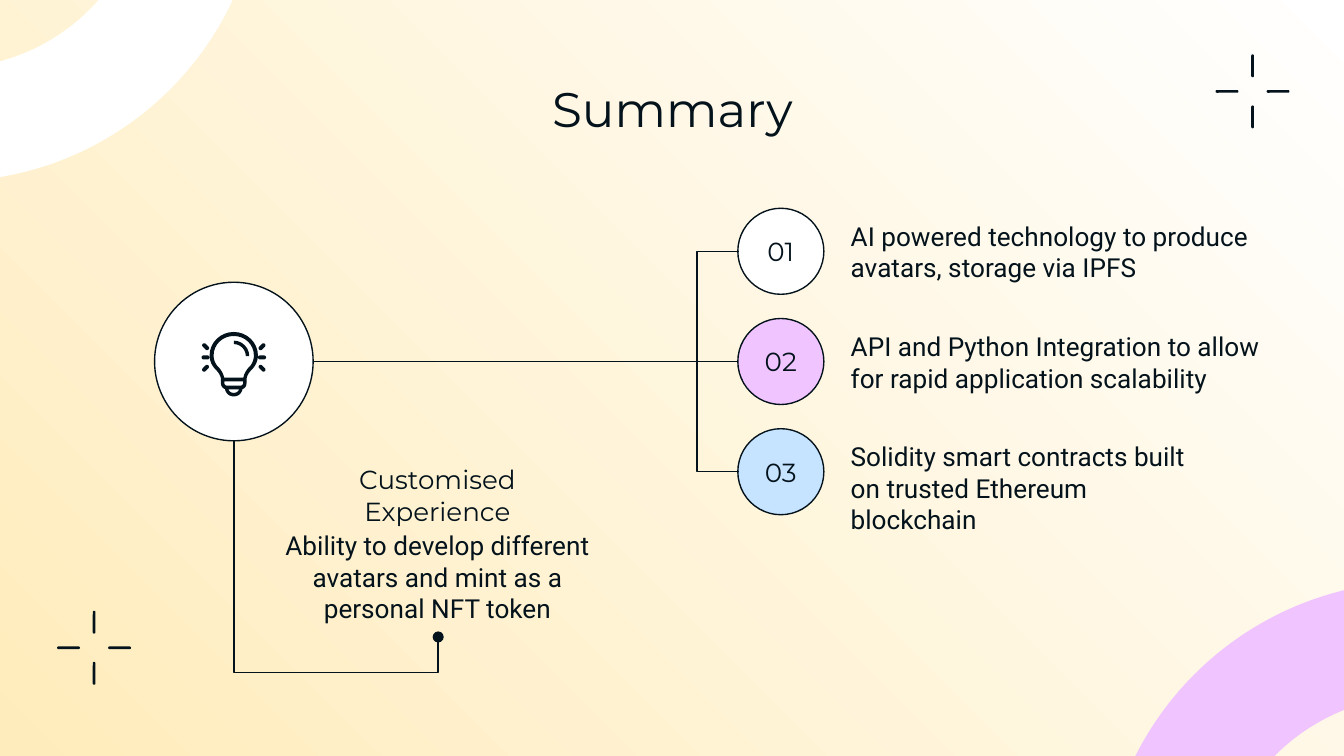
import lxml.etree
import pptx
import pptx.dml.color
import pptx.enum.shapes
import pptx.enum.text
import pptx.oxml.ns
import pptx.util

COLORS = {"ink": "03121B", "white": "FFFFFF", "cream": "FFECBC",
          "pink": "F0C4FF", "blue": "C6E3FF"}
HEAD, BODY = "Montserrat", "Roboto"
MSO = pptx.enum.shapes.MSO_SHAPE
ALIGN = pptx.enum.text.PP_ALIGN
ANCHOR = pptx.enum.text.MSO_ANCHOR
inch = pptx.util.Inches
qn = pptx.oxml.ns.qn

HUB_X, MID_Y, HUB_SIZE = 1.74, 2.69, 1.18
ROW_PITCH, NODE_LEFT, NODE_SIZE = 0.82, 5.49, 0.64
TEXT_LEFT, TEXT_TOP = 6.33, 1.59
NOTE_X = 3.26
ITEMS = [
    ("01", "white", 2.97, "AI powered technology to produce avatars, storage via IPFS"),
    ("02", "pink", 3.17, "API and Python Integration to allow for rapid application scalability"),
    ("03", "blue", 2.56, "Solidity smart contracts built on trusted Ethereum blockchain"),
]

# Right halves of the bulb's contours, in hundredths of an inch from its centre.
# A segment of two numbers is a line, one of six is a Bézier curve.
BULB = [
    [(0, -24), (10, -24, 18, -16, 18, -6.5), (18, -2, 16, 1.5, 13, 4.5),
     (11, 6.5, 9.5, 9, 9.5, 12), (9.5, 14), (9.5, 16, 8.5, 18, 6.5, 18.5),
     (6, 22, 3, 24, 0, 24)],
    [(0, -21), (8.5, -21, 15, -14.5, 15, -6.5), (15, -3, 13.5, 0.5, 11, 2.5),
     (9, 5, 7.5, 7.5, 7.2, 10), (0, 10)],
    [(0, 12.7), (7, 12.7), (7, 14), (7, 15, 6, 16, 5, 16), (0, 16)],
    [(0, 18.7), (4, 18.7), (3.5, 20.3, 2, 21.3, 0, 21.3)],
]


def rgb(name):
    return pptx.dml.color.RGBColor.from_string(COLORS[name])


def paint(s, fill, outline=False):
    s.shadow.inherit = False
    s.fill.solid()
    s.fill.fore_color.rgb = rgb(fill)
    if outline:
        s.line.color.rgb = rgb("ink")
        s.line.width = pptx.util.Pt(0.75)
    else:
        s.line.fill.background()


def add_centred(shapes, kind, x, y, w, h, fill, outline=False):
    """Add a preset shape by its centre point."""
    s = shapes.add_shape(kind, inch(x - w / 2), inch(y - h / 2), inch(w), inch(h))
    paint(s, fill, outline)
    return s


def add_arc(shapes, x, y, size, start, end, thickness, fill):
    """Add a ring segment that runs clockwise between two angles in degrees."""
    s = add_centred(shapes, MSO.BLOCK_ARC, x, y, size, size, fill)
    s.adjustments[0] = start * 0.6
    s.adjustments[1] = end * 0.6
    s.adjustments[2] = thickness
    return s


def add_bar(shapes, x, y, w, h, rotation=0):
    s = add_centred(shapes, MSO.ROUNDED_RECTANGLE, x, y, w, h, "ink")
    s.adjustments[0] = 0.5
    s.rotation = rotation


def add_sparkle(slide, x, y, reach=0.19, length=0.17, width=0.02):
    group = slide.shapes.add_group_shape()
    for side in (-1, 1):
        add_bar(group.shapes, x + side * reach, y, length, width)
        add_bar(group.shapes, x, y + side * reach, width, length)


def symmetric_contour(half, x, y, steps=8):
    """Sample the curves and mirror them to close the contour."""
    points = [half[0]]
    for segment in half[1:]:
        if len(segment) == 2:
            points.append(segment)
            continue
        start = points[-1]
        for i in range(1, steps + 1):
            t = i / steps
            u = 1 - t
            points.append(tuple(
                u ** 3 * start[k] + 3 * u * u * t * segment[k]
                + 3 * u * t * t * segment[k + 2] + t ** 3 * segment[k + 4]
                for k in (0, 1)))
    points += [(-px, py) for px, py in reversed(points[1:-1])]
    return [(inch(x + px / 100), inch(y + py / 100)) for px, py in points]


def add_bulb(slide, x, y):
    shapes = slide.shapes.add_group_shape().shapes
    contours = [symmetric_contour(half, x, y) for half in BULB]
    builder = shapes.build_freeform(*contours[0][0])
    for i, points in enumerate(contours):
        if i:
            builder.move_to(*points[0])
        builder.add_line_segments(points[1:], close=True)
    paint(builder.convert_to_shape(), "ink")
    add_arc(shapes, x, y - 0.06, 0.23, 270, 0, 0.11, "ink")
    for side in (-1, 1):
        for row in (-1, 0, 1):
            add_bar(shapes, x + side * 0.21, y - 0.05 + row * 0.08, 0.06, 0.03,
                    side * row * 45)


def write(tf, text, font, size=14, align=ALIGN.LEFT, insets=(0, 0, 0, 0)):
    tf.word_wrap = True
    tf.auto_size = pptx.enum.text.MSO_AUTO_SIZE.NONE
    tf.margin_left, tf.margin_top, tf.margin_right, tf.margin_bottom = map(inch, insets)
    p = tf.paragraphs[0]
    p.alignment = align
    r = p.add_run()
    r.text = text
    r.font.name = font
    r.font.size = pptx.util.Pt(size)
    r.font.color.rgb = rgb("ink")


def add_text(slide, x, y, w, h, text, font, **kwargs):
    s = slide.shapes.add_textbox(inch(x), inch(y), inch(w), inch(h))
    write(s.text_frame, text, font, **kwargs)


def add_elbow(slide, x1, y1, x2, y2, bend, vertical=False, dot=False):
    """Add an elbow whose bend is a share of its run; vertical ones leave downwards."""
    if vertical:
        cx, cy, run, rise = (x1 + x2) / 2, (y1 + y2) / 2, y2 - y1, x2 - x1
        x1, x2, y1, y2 = cx + run / 2, cx - run / 2, cy - rise / 2, cy + rise / 2
    c = slide.shapes.add_connector(pptx.enum.shapes.MSO_CONNECTOR.ELBOW,
                                   inch(x1), inch(y1), inch(x2), inch(y2))
    c.line.color.rgb = rgb("ink")
    c.line.width = pptx.util.Pt(0.75)
    sp_pr = c._element.spPr
    if vertical:
        sp_pr.find(qn("a:xfrm")).set("rot", str(270 * 60000))
    guides = sp_pr.find(qn("a:prstGeom")).find(qn("a:avLst"))
    lxml.etree.SubElement(guides, qn("a:gd"), name="adj1",
                          fmla=f"val {round(bend * 100000)}")
    if dot:
        lxml.etree.SubElement(c.line._get_or_add_ln(), qn("a:tailEnd"), type="oval")
    lxml.etree.SubElement(sp_pr, qn("a:effectLst"))


def add_backdrop(slide):
    fill = slide.background.fill
    fill.gradient()
    fill.gradient_angle = 45
    for stop, name, position in zip(fill.gradient_stops, ("cream", "white"), (0, 1)):
        stop.color.rgb = rgb(name)
        stop.position = position
    add_arc(slide.shapes, -0.39, -0.99, 4.68, 90.98, 1.07, 0.18, "white").rotation = 180
    add_sparkle(slide, 0.7, 4.82)
    add_sparkle(slide, 9.32, 0.68)
    add_arc(slide.shapes, 10.56, 6.69, 4.73, 90.98, 1.07, 0.18, "pink")


def add_title(slide, text):
    s = slide.shapes.title
    s.left, s.top, s.width, s.height = map(inch, (0.79, 0.49, 8.43, 0.63))
    write(s.text_frame, text, HEAD, 26, ALIGN.CENTER, (0.1,) * 4)
    s.text_frame.vertical_anchor = ANCHOR.TOP


def add_item(slide, row, number, fill, width, text):
    add_text(slide, TEXT_LEFT, TEXT_TOP + row * ROW_PITCH, width, 0.58, text, BODY,
             insets=(0, 0.05, 0, 0))
    s = add_centred(slide.shapes, MSO.OVAL, NODE_LEFT + NODE_SIZE / 2,
                    MID_Y + (row - 1) * ROW_PITCH, NODE_SIZE, NODE_SIZE, fill, True)
    write(s.text_frame, number, HEAD, align=ALIGN.CENTER, insets=(0.1,) * 4)
    s.text_frame.vertical_anchor = ANCHOR.MIDDLE


def main():
    prs = pptx.Presentation()
    prs.slide_width, prs.slide_height = inch(10), inch(5.625)
    slide = prs.slides.add_slide(prs.slide_layouts[5])
    add_backdrop(slide)
    add_title(slide, "Summary")
    add_centred(slide.shapes, MSO.OVAL, HUB_X, MID_Y, HUB_SIZE, HUB_SIZE, "white", True)
    add_bulb(slide, HUB_X, 2.71)
    for row, item in enumerate(ITEMS):
        add_item(slide, row, *item)
    add_text(slide, NOTE_X - 1.15, 3.93, 2.29, 0.82,
             "Ability to develop different avatars and mint as a personal NFT token",
             BODY, align=ALIGN.CENTER, insets=(0, 0.01, 0, 0))
    add_text(slide, NOTE_X - 0.78, 3.44, 1.55, 0.23, "Customised Experience",
             HEAD, align=ALIGN.CENTER, insets=(0, 0.01, 0, 0))
    radius = HUB_SIZE / 2
    add_elbow(slide, HUB_X, MID_Y + radius, NOTE_X, 4.74, 1.18, vertical=True, dot=True)
    add_elbow(slide, HUB_X + radius, MID_Y, NODE_LEFT, MID_Y, 0.5)
    for side in (-1, 1):
        add_elbow(slide, NODE_LEFT, MID_Y, NODE_LEFT + 0.01, MID_Y + side * ROW_PITCH, -31)
    prs.save("out.pptx")


if __name__ == "__main__":
    main()
